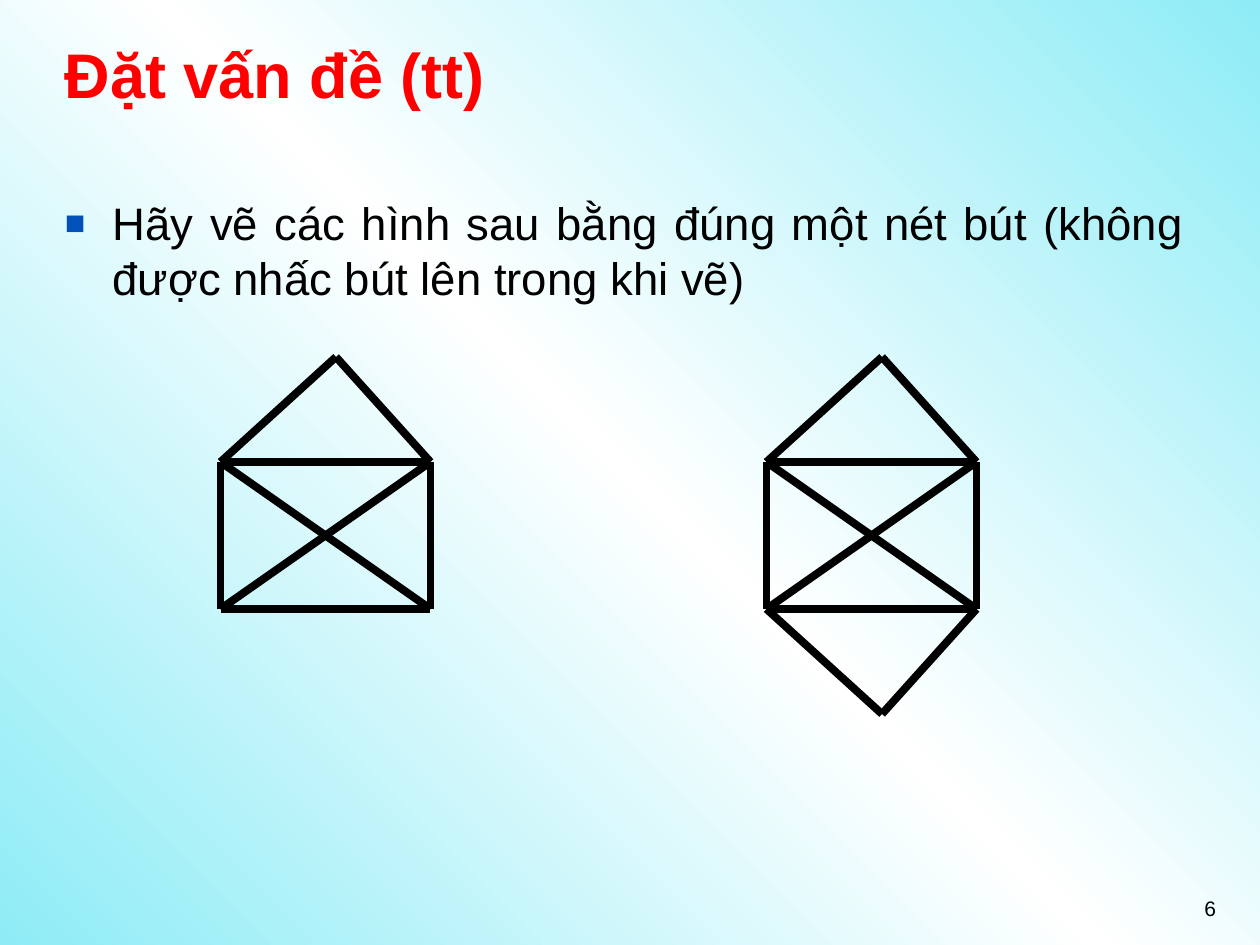
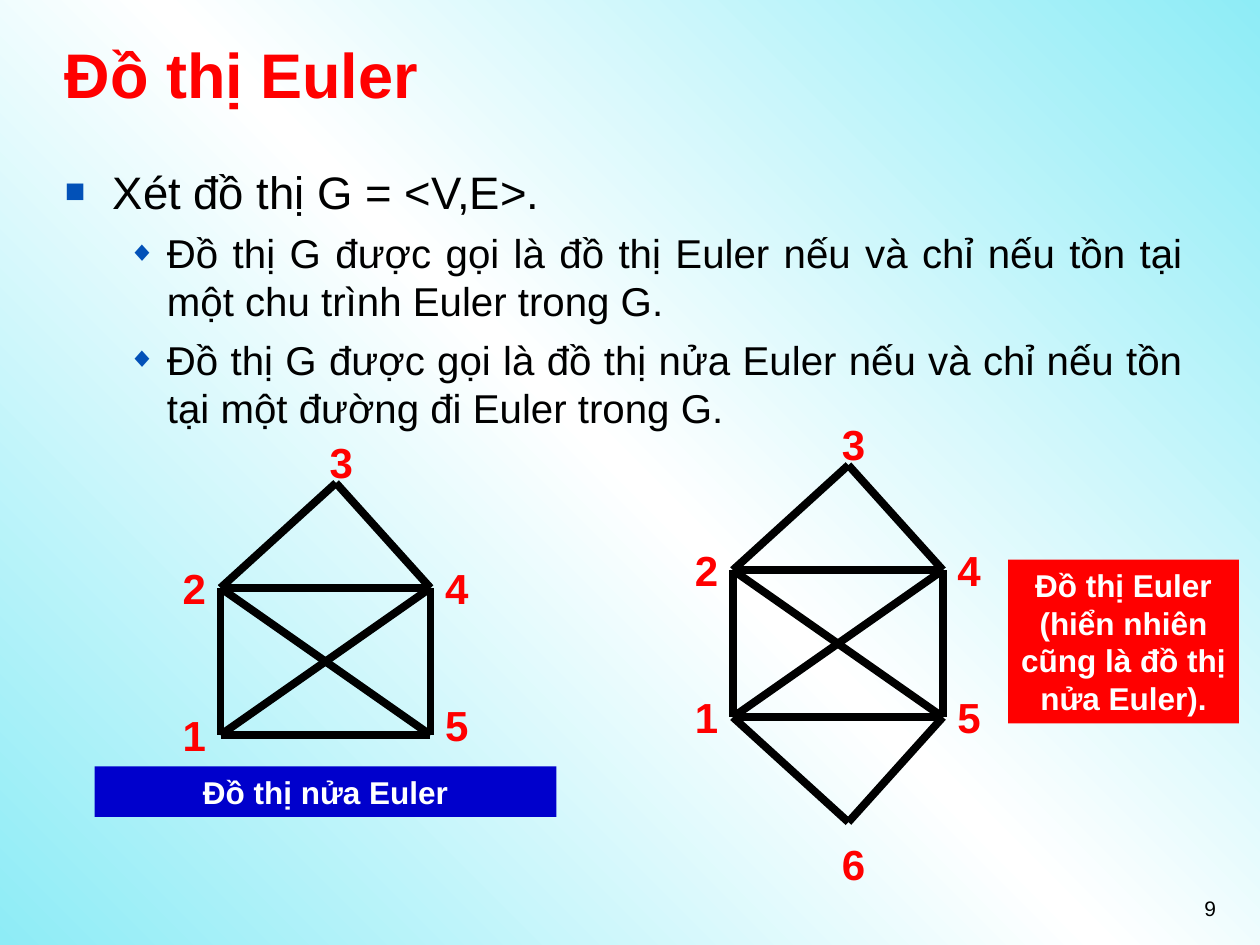
from copy import deepcopy
from dataclasses import dataclass

from lxml import etree
from pptx import Presentation
from pptx import util as u
from pptx.dml.color import RGBColor
from pptx.enum import shapes, text
from pptx.oxml.ns import qn

CELL = u.Inches(1) / 12  # the slide is a grid of 120 columns and 90 rows
COLUMNS, ROWS = 120, 90


@dataclass(frozen=True)
class Theme:
    font: str = "Arial"
    red: str = "FF0000"
    black: str = "000000"
    white: str = "FFFFFF"
    blue: str = "0000CC"
    bullet: str = "0251B8"
    background: tuple = ("8EECF6", "FFFFFF", "8EECF6")
    title_size: int = 36
    node_size: int = 24
    caption_size: int = 18
    number_size: int = 12
    edge_width: float = 4.5


THEME = Theme()


@dataclass(frozen=True)
class Level:
    size: int
    bullet: str
    bullet_percent: int
    indent: float
    hanging: float
    space_before: float


LEVELS = (Level(26, "■", 75, 0.38, 0.38, 6.5),
          Level(23, "◆", 70, 0.81, 0.31, 5.8))

# Graph nodes, in cells from node 2 (the square's top left corner)
NODES = {1: (0, 14), 2: (0, 0), 3: (11, -10), 4: (20, 0), 5: (20, 14), 6: (11, 24)}
HOUSE_EDGES = ((2, 1), (4, 5), (1, 5), (2, 4), (4, 3), (2, 3), (1, 4), (2, 5))
DIAMOND_EDGES = HOUSE_EDGES + ((5, 6), (1, 6))

# Label boxes, in cells from the node they name
LABEL_OFFSETS = {1: (-7, -3), 2: (-7, -3), 3: (-4, -5),
                 4: (-2, -3), 5: (-2, -3), 6: (-4, 1)}


def cells(*counts):
    return [round(count * CELL) for count in counts]


def write(paragraph, content, *, size, color=THEME.black, bold=False,
          align=text.PP_ALIGN.LEFT, space_before=0):
    paragraph.alignment = align
    paragraph.space_before = u.Pt(space_before)
    run = paragraph.add_run()
    run.text = content
    run.font.name = THEME.font
    run.font.size = u.Pt(size)
    run.font.bold = bold
    run.font.color.rgb = RGBColor.from_string(color)


def add_bullet(paragraph, level):
    properties = paragraph._p.get_or_add_pPr()
    properties.set("marL", str(u.Inches(level.indent)))
    properties.set("indent", str(-u.Inches(level.hanging)))
    color = etree.SubElement(properties, qn("a:buClr"))
    etree.SubElement(color, qn("a:srgbClr"), val=THEME.bullet)
    etree.SubElement(properties, qn("a:buSzPct"), val=str(level.bullet_percent * 1000))
    etree.SubElement(properties, qn("a:buFont"), typeface=THEME.font)
    etree.SubElement(properties, qn("a:buChar"), char=level.bullet)


class Deck:
    def __init__(self, theme):
        self.theme = theme
        self.presentation = Presentation()
        self.presentation.slide_width, self.presentation.slide_height = cells(COLUMNS, ROWS)
        self.slide = None
        self.paint_background()

    def paint_background(self):
        """Give the master a diagonal gradient, which every slide inherits."""
        master = self.presentation.slide_master
        fill = master.background.fill
        fill.gradient()
        stop_list = master.element.find(".//" + qn("a:gsLst"))
        stop_list.insert(1, deepcopy(stop_list[0]))
        for index, (stop, color) in enumerate(zip(fill.gradient_stops, self.theme.background)):
            stop.position = index / 2
            stop.color.rgb = RGBColor.from_string(color)
        fill.gradient_angle = 45

    def start_slide(self, title, number):
        self.slide = self.presentation.slides.add_slide(self.presentation.slide_layouts[6])
        frame = self.text_frame(5, 2, 109, 10)
        frame.vertical_anchor = text.MSO_ANCHOR.MIDDLE
        write(frame.paragraphs[0], title, size=self.theme.title_size,
              color=self.theme.red, bold=True)
        write(self.text_frame(89, 84.7, 28, 6.2).paragraphs[0], str(number),
              size=self.theme.number_size, align=text.PP_ALIGN.RIGHT)

    def text_frame(self, left, top, width, height):
        frame = self.slide.shapes.add_textbox(*cells(left, top, width, height)).text_frame
        frame.word_wrap = True
        return frame

    def bullets(self, top, items):
        """Write (level, text) pairs as a bulleted list."""
        frame = self.text_frame(5, top, 109, 62.4)
        for index, (depth, content) in enumerate(items):
            paragraph = frame.add_paragraph() if index else frame.paragraphs[0]
            level = LEVELS[depth]
            paragraph.level = depth
            write(paragraph, content, size=level.size, align=text.PP_ALIGN.JUSTIFY,
                  space_before=level.space_before)
            add_bullet(paragraph, level)

    def edge(self, start, end):
        line = self.slide.shapes.add_connector(shapes.MSO_CONNECTOR.STRAIGHT,
                                               *cells(*start, *end))
        line.line.color.rgb = RGBColor.from_string(self.theme.black)
        line.line.width = u.Pt(self.theme.edge_width)
        etree.SubElement(line._element.spPr, qn("a:effectLst"))

    def graph(self, left, top, edges, label_offsets=None):
        """Draw the edges from node 2 at (left, top), then label nodes that have an offset."""
        places = {node: (left + x, top + y) for node, (x, y) in NODES.items()}
        for start, end in edges:
            self.edge(places[start], places[end])
        used = {node for edge in edges for node in edge}
        for node, (x, y) in (label_offsets or {}).items():
            if node in used:
                self.node_label(node, places[node][0] + x, places[node][1] + y)

    def node_label(self, node, left, top):
        frame = self.text_frame(left, top, 9, 6)
        write(frame.paragraphs[0], str(node), size=self.theme.node_size,
              color=self.theme.red, bold=True, align=text.PP_ALIGN.CENTER, space_before=15)

    def caption(self, content, left, top, width, height, color):
        box = self.slide.shapes.add_shape(shapes.MSO_SHAPE.RECTANGLE,
                                          *cells(left, top, width, height))
        box.shadow.inherit = False
        box.fill.solid()
        box.fill.fore_color.rgb = RGBColor.from_string(color)
        box.line.fill.background()
        frame = box.text_frame
        frame.word_wrap = True
        frame.vertical_anchor = text.MSO_ANCHOR.TOP
        write(frame.paragraphs[0], content, size=self.theme.caption_size,
              color=self.theme.white, bold=True, align=text.PP_ALIGN.CENTER,
              space_before=11.2)


def add_puzzle_slide(deck):
    deck.start_slide("Đặt vấn đề (tt)", 6)
    deck.bullets(18, [(0, "Hãy vẽ các hình sau bằng đúng một nét bút "
                          "(không được nhấc bút lên trong khi vẽ)")])
    deck.graph(73, 44, DIAMOND_EDGES)
    deck.graph(21, 44, HOUSE_EDGES)


def add_euler_slide(deck):
    deck.start_slide("Đồ thị Euler", 9)
    deck.bullets(15, [
        (0, "Xét đồ thị G = <V,E>."),
        (1, "Đồ thị G được gọi là đồ thị Euler nếu và chỉ nếu tồn tại "
            "một chu trình Euler trong G."),
        (1, "Đồ thị G được gọi là đồ thị nửa Euler nếu và chỉ nếu tồn tại "
            "một đường đi Euler trong G."),
    ])
    deck.graph(21, 56, HOUSE_EDGES, LABEL_OFFSETS | {5: (-2, -4)})
    deck.graph(69.8, 54.3, DIAMOND_EDGES, LABEL_OFFSETS)
    deck.caption("Đồ thị nửa Euler", 9, 73, 44, 4.8, THEME.blue)
    deck.caption("Đồ thị Euler (hiển nhiên cũng là đồ thị nửa Euler).",
                 96, 53.3, 22, 15.6, THEME.red)


def main():
    deck = Deck(THEME)
    add_puzzle_slide(deck)
    add_euler_slide(deck)
    deck.presentation.save("out.pptx")


if __name__ == "__main__":
    main()
